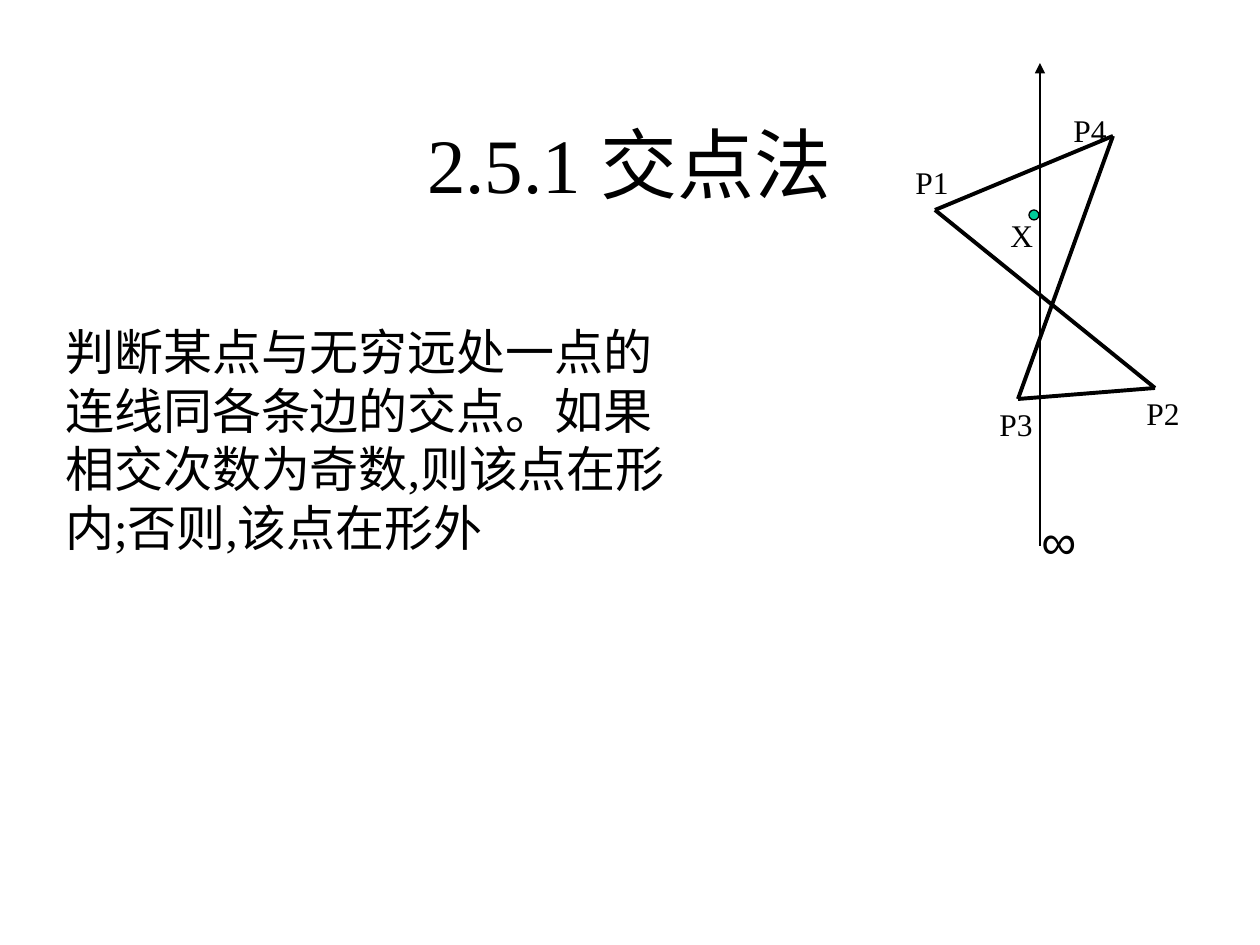
from pptx import Presentation
from pptx.dml.color import RGBColor
from pptx.enum.shapes import MSO_CONNECTOR as Connector, MSO_SHAPE as Shape
from pptx.enum.text import MSO_ANCHOR as Anchor, MSO_AUTO_SIZE as AutoSize, PP_ALIGN as Align
from pptx.oxml.ns import qn
from pptx.util import Pt
from lxml.etree import SubElement

EMU_PER_PIXEL = 914400 / 126
BLACK, GREEN = "000000", "00CC99"
SERIF, SANS = "Times New Roman", "Arial"


def px(length):
    return round(length * EMU_PER_PIXEL)


def color(code):
    return RGBColor.from_string(code)


def add_text(page, box, text, size, font=SERIF, before=0, align=Align.LEFT,
             anchor=Anchor.TOP, auto_size=AutoSize.SHAPE_TO_FIT_TEXT):
    frame = page.shapes.add_textbox(*map(px, box)).text_frame
    frame.word_wrap = True
    frame.auto_size = auto_size
    frame.vertical_anchor = anchor
    para = frame.paragraphs[0]
    para.text = text
    para.alignment = align
    para.space_before = Pt(before)
    para.font.size = Pt(size)
    para.font.name = font
    para.font.color.rgb = color(BLACK)


def add_line(page, start, end, width, arrow=False):
    line = page.shapes.add_connector(Connector.STRAIGHT, *map(px, (*start, *end)))
    line.line.color.rgb = color(BLACK)
    line.line.width = Pt(width)
    properties = line._element.spPr
    if arrow:
        SubElement(properties.find(qn("a:ln")), qn("a:tailEnd"), type="triangle")
    SubElement(properties, qn("a:effectLst"))


def add_title(page, box):
    add_text(page, box, "2.5.1 交点法", 44, align=Align.CENTER,
             anchor=Anchor.MIDDLE, auto_size=AutoSize.NONE)


def add_explanation(page, box):
    add_text(page, box, "判断某点与无穷远处一点的连线同各条边的交点。如果相交次数为奇数,"
             "则该点在形内;否则,该点在形外".replace(",", ",").replace(";", ";"),
             28, before=17.5)


def add_polygon_diagram(page, left, top):
    def at(x, y):
        return left + x, top + y

    # Polygon edges
    corners = {"P1": at(32, 147), "P2": at(252, 325),
               "P3": at(115, 336), "P4": at(210, 73)}
    names = list(corners)
    for name, following in zip(names, names[1:] + names[:1]):
        add_line(page, corners[name], corners[following], 2.24)

    # Ray to infinity
    add_line(page, at(137, 483), at(137, 0), 0.74, arrow=True)
    add_text(page, (*at(126, 441), 63, 72), "∞", 28, SANS, 17.5)

    # Tested point
    point = page.shapes.add_shape(Shape.OVAL, *map(px, (*at(126, 147), 10, 10)))
    point.shadow.inherit = False
    point.fill.solid()
    point.fill.fore_color.rgb = color(GREEN)
    point.line.color.rgb = color(BLACK)
    point.line.width = Pt(0.74)

    # Labels
    labels = {"P1": (0, 94), "P2": (231, 325), "P3": (84, 336),
              "P4": (158, 42), "X": (95, 147)}
    for name, place in labels.items():
        add_text(page, (*at(*place), 63, 50), name, 18, before=11.2)


deck = Presentation()
deck.slide_width, deck.slide_height = px(1260), px(945)
page = deck.slides.add_slide(deck.slide_layouts[6])
add_title(page, (94, 84, 1071, 158))
add_explanation(page, (53, 315, 630, 248))
add_polygon_diagram(page, 903, 63)
deck.save("out.pptx")
